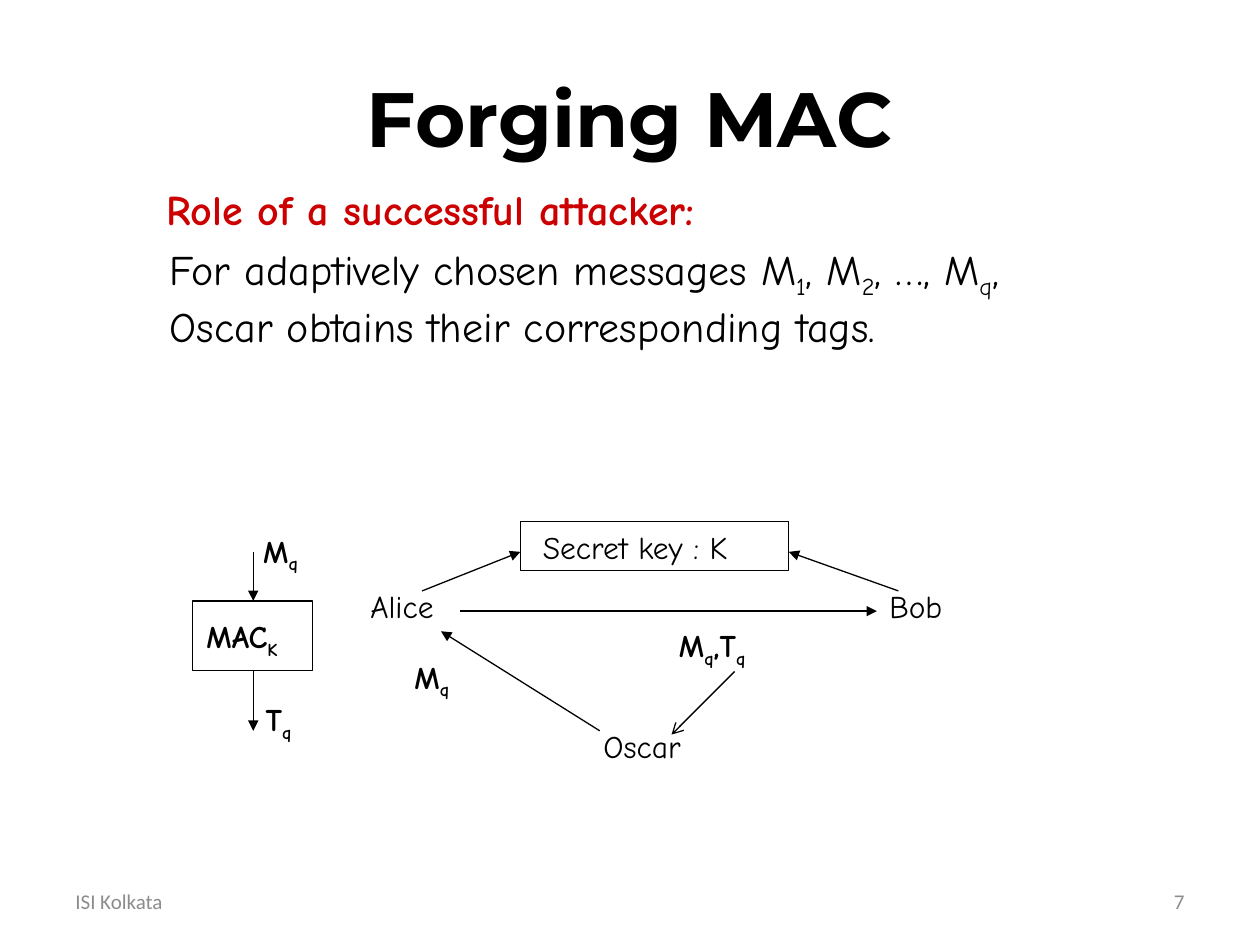
from dataclasses import dataclass
from lxml.etree import SubElement
from pptx import Presentation
from pptx.dml.color import RGBColor
from pptx.enum.shapes import MSO_CONNECTOR, MSO_SHAPE
from pptx.enum.text import MSO_ANCHOR as Anchor, MSO_AUTO_SIZE as AutoSize, PP_ALIGN as Align
from pptx.oxml.ns import qn
from pptx.util import Inches, Pt


@dataclass(frozen=True)
class Theme:
    ink: str = "000000"
    accent: str = "CC0000"
    muted: str = "8C8C8C"
    heading_font: str = "Montserrat"
    body_font: str = "Comic Neue"
    footer_font: str = "Calibri"
    title_size: int = 44
    body_size: int = 24
    label_size: int = 18
    footer_size: int = 12
    stroke: float = 0.75


class SlideBuilder:
    COLUMNS, ROWS = 100, 75

    def __init__(self, deck, theme):
        self.theme = theme
        self.cell_width = deck.slide_width / self.COLUMNS
        self.cell_height = deck.slide_height / self.ROWS
        self.page = deck.slides.add_slide(deck.slide_layouts[6])

    def place(self, column, row):
        return round(column * self.cell_width), round(row * self.cell_height)

    def frame(self, column, row, width, height):
        return *self.place(column, row), *self.place(width, height)

    def text(self, words, area, size, font=None, color=None, bold=False,
             align=Align.LEFT, anchor=Anchor.TOP, wrap=True, grow=True):
        box = self.page.shapes.add_textbox(*self.frame(*area)).text_frame
        box.word_wrap = wrap
        box.auto_size = AutoSize.SHAPE_TO_FIT_TEXT if grow else AutoSize.NONE
        box.vertical_anchor = anchor
        para = box.paragraphs[0]
        para.alignment = align
        para.font.name = font or self.theme.body_font
        para.font.size = Pt(size)
        para.font.bold = bold
        para.font.color.rgb = RGBColor.from_string(color or self.theme.ink)
        first, *rest = words.split("_")
        para.add_run().text = first
        for piece in rest:
            span = para.add_run()
            span.text = piece[0]
            span._r.get_or_add_rPr().set("baseline", "-25000")
            if piece[1:]:
                para.add_run().text = piece[1:]

    def label(self, words, area, bold=False, wrap=True):
        self.text(words, area, self.theme.label_size, bold=bold, wrap=wrap)

    def footer(self, words, column, align):
        self.text(words, (column, 69.5, 23.3, 4), self.theme.footer_size,
                  self.theme.footer_font, self.theme.muted,
                  align=align, anchor=Anchor.MIDDLE, grow=False)

    def stroke(self, line):
        line.color.rgb = RGBColor.from_string(self.theme.ink)
        line.width = Pt(self.theme.stroke)

    def outline(self, *area):
        shape = self.page.shapes.add_shape(MSO_SHAPE.RECTANGLE, *self.frame(*area))
        shape.shadow.inherit = False
        shape.fill.background()
        self.stroke(shape.line)

    def arrow(self, start, end, head="triangle"):
        link = self.page.shapes.add_connector(
            MSO_CONNECTOR.STRAIGHT, *self.place(*start), *self.place(*end))
        self.stroke(link.line)
        SubElement(link.line._get_or_add_ln(), qn("a:tailEnd"), type=head)
        SubElement(link._element.spPr, qn("a:effectLst"))


deck = Presentation()
deck.slide_width, deck.slide_height = Inches(10), Inches(7.5)
theme = Theme()
slide = SlideBuilder(deck, theme)

slide.footer("ISI Kolkata", 5, Align.LEFT)
slide.footer("7", 71.7, Align.RIGHT)
slide.text("Forging MAC", (5, 3, 90, 12.5), theme.title_size, theme.heading_font,
           bold=True, align=Align.CENTER, anchor=Anchor.MIDDLE, grow=False)
slide.text("Role of a successful attacker:", (12.2, 14.1, 54.2, 5.1),
           theme.body_size, color=theme.accent, bold=True)
slide.text("For adaptively chosen messages M_1, M_2, …, M_q, "
           "Oscar obtains their corresponding tags.",
           (12.5, 18.8, 76.6, 13.1), theme.body_size)

slide.outline(41.3, 41.4, 21.3, 3.9)
slide.outline(15.3, 47.7, 9.5, 5.5)

for words, column, row, width, bold, wrap in (
    ("Alice", 28.4, 46.1, 7.9, False, False),
    ("Bob", 69.6, 46.1, 6.4, False, False),
    ("Oscar", 46.9, 57.2, 9, False, True),
    ("Secret key : K", 42.1, 41.4, 18.7, False, False),
    ("MAC_K", 15.4, 48.5, 8.6, True, False),
    ("M_q", 19.9, 41.7, 5.1, True, True),
    ("T_q", 20.1, 55.1, 4.6, True, True),
    ("M_q", 31.9, 51.7, 5.5, True, True),
    ("M_q,T_q", 52.9, 49.2, 8.9, True, True),
):
    slide.label(words, (column, row, width, 4), bold, wrap)

for start, end in (
    ((36.5, 48.5), (69.6, 48.5)),
    ((33.5, 46.9), (41.3, 43.8)),
    ((71.3, 46.9), (62.6, 43.8)),
    ((20.1, 43.8), (20.1, 47.7)),
    ((20.1, 53.2), (20.1, 58)),
    ((47.6, 58), (35, 50.1)),
):
    slide.arrow(start, end)
slide.arrow((58.3, 53.3), (53.3, 58.3), head="arrow")

deck.save("out.pptx")
